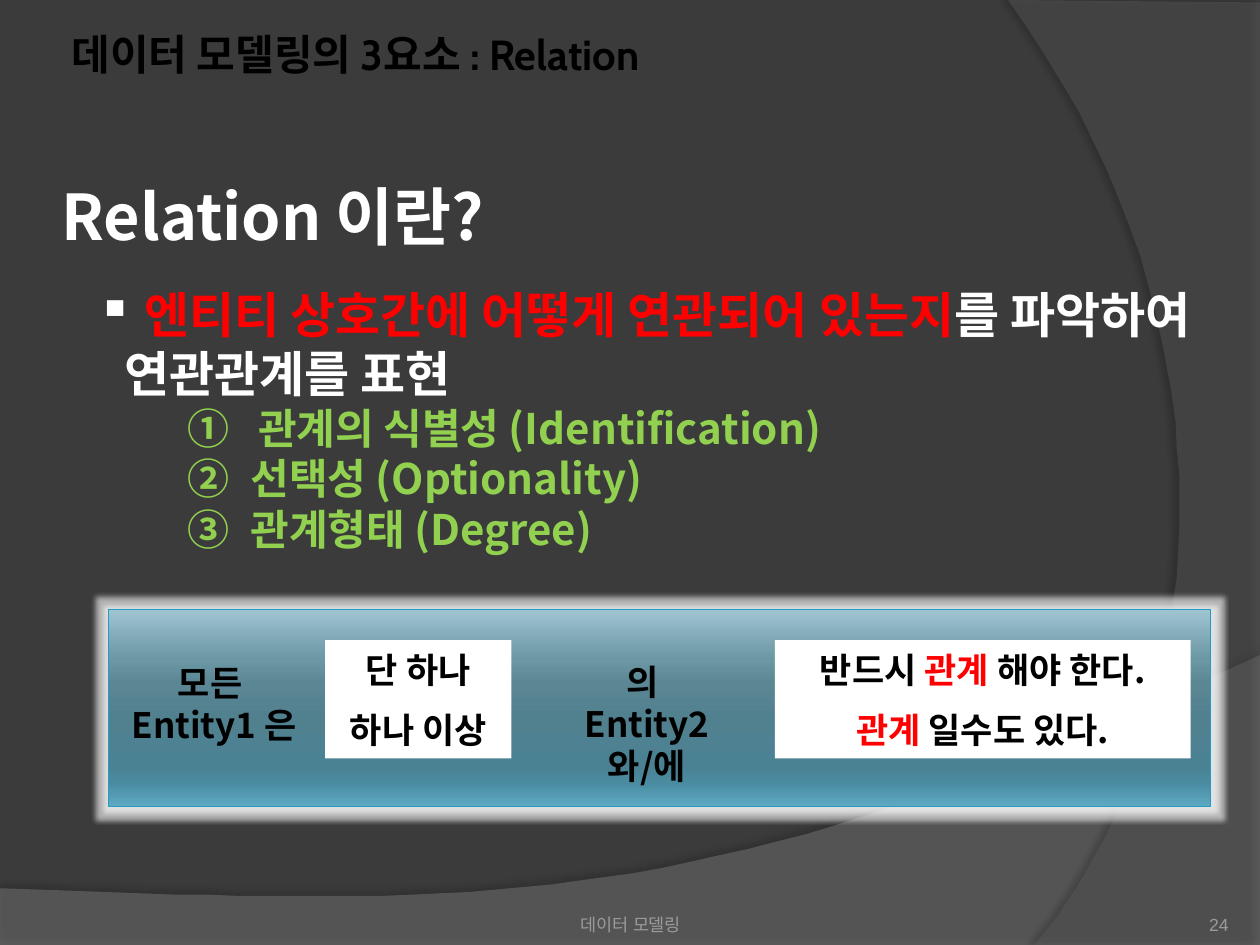
from dataclasses import dataclass

import pptx
import pptx.dml.color
import pptx.enum.shapes
import pptx.enum.text
import pptx.oxml
import pptx.oxml.ns
import pptx.util

RGB = pptx.dml.color.RGBColor
ALIGN = pptx.enum.text.PP_ALIGN
ANCHOR = pptx.enum.text.MSO_ANCHOR
qn = pptx.oxml.ns.qn

PX = 9144  # EMU in one px, 100 px to the inch
BACKDROP = RGB(0x3B, 0x3B, 0x3B)
SWOOSH = RGB(0x7F, 0x7F, 0x7F)
SIDE_ARC = RGB(0x5E, 0x5E, 0x5E)
FOOTER = RGB(0x9D, 0x9B, 0x9A)
BLACK = RGB(0, 0, 0)
WHITE = RGB(0xFF, 0xFF, 0xFF)
RED = RGB(0xFF, 0, 0)
GREEN = RGB(0x92, 0xD0, 0x50)
PANEL_EDGE = RGB(0x23, 0x9B, 0xC2)
PANEL_STOPS = (
    (0, RGB(0x9E, 0xC4, 0xD2)), (25, RGB(0x6C, 0x97, 0xA5)),
    (38, RGB(0x5B, 0x86, 0x94)), (55, RGB(0x51, 0x80, 0x8F)),
    (80, RGB(0x4A, 0x82, 0x94)), (88, RGB(0x4A, 0x8B, 0xA0)),
    (100, RGB(0x5D, 0xAA, 0xC2)),
)
BODY_FONT = "Noto Sans CJK KR"


@dataclass(frozen=True)
class Box:
    left: int
    top: int
    width: int
    height: int

    def emu(self) -> list[int]:
        return [v * PX for v in (self.left, self.top, self.width, self.height)]


@dataclass(frozen=True)
class Line:
    """One paragraph: coloured pieces, size, and list format."""
    pieces: tuple
    size: int = 20
    before: int = 0
    bullet: str = ""
    level: int = 0
    margin: int = 0
    indent: int = 0


@dataclass(frozen=True)
class Phrase:
    box: Box
    lines: tuple
    on_white: bool = False
    side: int = 10


def element(xml: str):
    return pptx.oxml.parse_xml(xml.replace(
        ">", f' {pptx.oxml.ns.nsdecls("a")}>' if "/>" not in xml.split(">")[0] + ">"
        else ">", 1) if "xmlns" not in xml else xml)


def color_xml(color, opacity: int = 100) -> str:
    return f'<a:srgbClr val="{color}"><a:alpha val="{opacity * 1000}"/></a:srgbClr>'


def add_effect(shape, tag: str, attributes: str, color, opacity: int) -> None:
    shape.shadow.inherit = False
    effects = shape._element.spPr.find(qn("a:effectLst"))
    effects.append(element(f"<a:{tag} {attributes}>{color_xml(color, opacity)}</a:{tag}>"))


def bezier(start, first, second, end, steps: int = 40) -> list:
    """Points along a cubic curve, without its start."""
    points = []
    for step in range(1, steps + 1):
        t = step / steps
        u = 1 - t
        points.append(tuple(
            u**3 * a + 3 * u * u * t * b + 3 * u * t * t * c + t**3 * d
            for a, b, c, d in zip(start, first, second, end)))
    return points


def add_backdrop_curve(slide, points, color, opacity, shadow_opacity, angle) -> None:
    builder = slide.shapes.build_freeform(*points[0], scale=PX)
    builder.add_line_segments(points[1:], close=True)
    shape = builder.convert_to_shape()
    shape.fill.solid()
    shape.fill.fore_color.rgb = color
    fill_color = shape._element.spPr.find(qn("a:solidFill"))[0]
    fill_color.append(element(f'<a:alpha {pptx.oxml.ns.nsdecls("a")} val="{opacity * 1000}"/>'))
    shape.line.fill.background()
    add_effect(shape, "outerShdw",
               f'blurRad="50800" dist="44450" dir="{angle * 60000}"', BLACK, shadow_opacity)


def add_panel(slide, box: Box) -> None:
    panel = slide.shapes.add_shape(pptx.enum.shapes.MSO_SHAPE.RECTANGLE, *box.emu())
    panel.fill.gradient()
    panel.fill.gradient_angle = 270
    stops = panel._element.spPr.find(qn("a:gradFill")).find(qn("a:gsLst"))
    for stop in list(stops):
        stops.remove(stop)
    for position, color in PANEL_STOPS:
        stops.append(element(f'<a:gs pos="{position * 1000}">{color_xml(color)}</a:gs>'))
    panel.line.color.rgb = PANEL_EDGE
    panel.line.width = pptx.util.Pt(0.75)
    add_effect(panel, "glow", 'rad="63500"', WHITE, 60)


def set_list_format(paragraph, line: Line) -> None:
    paragraph.level = line.level
    properties = paragraph._p.get_or_add_pPr()
    properties.set("marL", str(line.margin * PX))
    properties.set("indent", str(line.indent * PX))
    kind = "buChar char" if len(line.bullet) == 1 else "buAutoNum type"
    properties.append(element(f'<a:{kind}="{line.bullet}" {pptx.oxml.ns.nsdecls("a")}/>'))


def add_text(slide, box: Box, lines, *, font=BODY_FONT, bold=True, align=ALIGN.LEFT,
             anchor=ANCHOR.TOP, side=10, bottom=5, fill=None):
    if fill is None:
        shape = slide.shapes.add_textbox(*box.emu())
    else:
        shape = slide.shapes.add_shape(pptx.enum.shapes.MSO_SHAPE.RECTANGLE, *box.emu())
        shape.shadow.inherit = False
        shape.fill.solid()
        shape.fill.fore_color.rgb = fill
        shape.line.fill.background()
    frame = shape.text_frame
    frame.word_wrap = True
    frame.vertical_anchor = anchor
    frame.margin_left = frame.margin_right = side * PX
    frame.margin_top = (5 + lines[0].size // 10) * PX
    frame.margin_bottom = bottom * PX
    for index, line in enumerate(lines):
        paragraph = frame.add_paragraph() if index else frame.paragraphs[0]
        paragraph.alignment = align
        paragraph.line_spacing = pptx.util.Pt(line.size * 1.2)
        paragraph.space_before = pptx.util.Pt(line.before)
        if line.bullet:
            set_list_format(paragraph, line)
        for text, color in line.pieces:
            for row, part in enumerate(text.split("\n")):
                if row:
                    paragraph.add_line_break()
                run = paragraph.add_run()
                run.text = part
                run.font.name = font
                run.font.size = pptx.util.Pt(line.size)
                run.font.bold = bold
                run.font.color.rgb = color
                run.font._element.find(qn("a:latin")).addnext(element(
                    f'<a:ea typeface="{font}" {pptx.oxml.ns.nsdecls("a")}/>'))


def numbered(text: str, hang: int = 50) -> Line:
    return Line(((text, GREEN),), 24, bullet="circleNumDbPlain", level=2,
                margin=100 + hang, indent=-hang)


DEFINITION = (
    Line(((" ", WHITE), ("엔티티 상호간에 어떻게 연관되어 있는지", RED),
          ("를 파악하여 연관관계를 표현", WHITE)),
         28, bullet="▪", level=1, margin=50, indent=-22),
    numbered("관계의 식별성 (Identification)", 56),
    numbered("선택성 (Optionality)"),
    numbered("관계형태 (Degree)"),
)
SENTENCE = (
    Phrase(Box(88, 518, 164, 77), (Line((("모든 \nEntity1 은", BLACK),)),)),
    Phrase(Box(258, 508, 148, 94), (Line((("단 하나", BLACK),)),
                                    Line((("하나 이상", BLACK),), before=10)), True),
    Phrase(Box(412, 517, 203, 77), (Line((("의 \nEntity2 와/에", BLACK),)),), side=20),
    Phrase(Box(615, 508, 330, 94),
           (Line((("반드시 ", BLACK), ("관계", RED), (" 해야 한다.", BLACK))),
            Line((("관계", RED), (" 일수도 있다.", BLACK)), before=10)), True),
)


def main() -> None:
    deck = pptx.Presentation()
    deck.slide_width, deck.slide_height = 1000 * PX, 750 * PX
    slide = deck.slides.add_slide(deck.slide_layouts[6])
    slide.background.fill.solid()
    slide.background.fill.fore_color.rgb = BACKDROP

    swoosh = [(0, 705), (0, 750), (1000, 750), (1000, 520)]
    swoosh += bezier((1000, 520), (559, 729), (391, 719), (0, 705))
    add_backdrop_curve(slide, swoosh, SWOOSH, 45, 35, 270)
    side_arc = [(1000, 2), (1000, 750), (821, 750)]
    side_arc += bezier((821, 750), (935, 619), (1018, 300), (800, 0))
    add_backdrop_curve(slide, side_arc, SIDE_ARC, 40, 45, 180)

    footer = dict(font="Arial", bold=False, anchor=ANCHOR.BOTTOM, side=0, bottom=0)
    add_text(slide, Box(342, 702, 317, 40), [Line((("데이터 모델링", FOOTER),), 10)],
             align=ALIGN.CENTER, **footer)
    add_text(slide, Box(892, 702, 83, 40), [Line((("24", FOOTER),), 10)],
             align=ALIGN.RIGHT, **footer)
    add_text(slide, Box(47, 16, 894, 50),
             [Line((("데이터 모델링의 3요소 : Relation", BLACK),), 24)], font="Cabin")
    add_text(slide, Box(39, 133, 930, 86), [Line((("Relation 이란?", WHITE),), 36)])
    add_text(slide, Box(39, 219, 930, 242), DEFINITION)

    add_panel(slide, Box(86, 484, 875, 156))
    for phrase in SENTENCE:
        add_text(slide, phrase.box, phrase.lines, align=ALIGN.CENTER, side=phrase.side,
                 fill=WHITE if phrase.on_white else None)
    deck.save("out.pptx")


if __name__ == "__main__":
    main()
